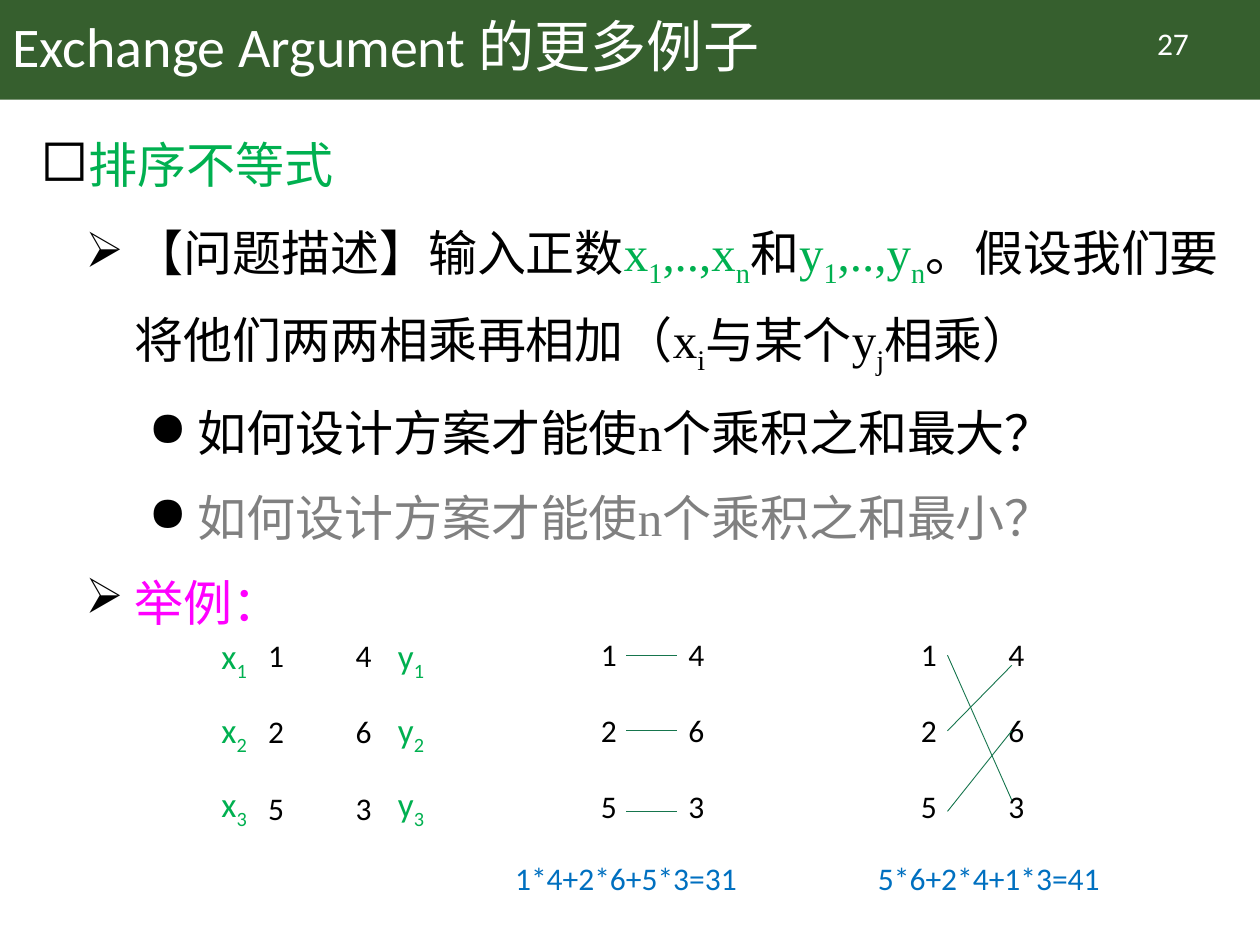
from lxml import etree
from pptx import Presentation
from pptx.dml.color import RGBColor
from pptx.enum.shapes import MSO_CONNECTOR, MSO_SHAPE
from pptx.enum.text import MSO_ANCHOR, PP_ALIGN
from pptx.oxml.ns import qn
from pptx.util import Inches, Pt

LINE = MSO_CONNECTOR.STRAIGHT
RECT = MSO_SHAPE.RECTANGLE
MIDDLE, TOP = MSO_ANCHOR.MIDDLE, MSO_ANCHOR.TOP
LEFT, CENTER = PP_ALIGN.LEFT, PP_ALIGN.CENTER
COLORS = {"bar": "365F2E", "white": "FFFFFF", "black": "000000", "green": "00B050",
          "gray": "808080", "pink": "FF00FF", "blue": "0070C0", "line": "16754D"}


def rgb(name):
    return RGBColor.from_string(COLORS[name])


def write(para, text, size=18, font="Calibri", color="black", align=LEFT):
    """Append text to a paragraph; the letter after each underscore is a subscript."""
    para.alignment = align
    head, *rest = text.split("_")
    parts = [(head, False)]
    for part in rest:
        parts += [(part[0], True), (part[1:], False)]
    for words, sub in parts:
        if not words:
            continue
        run = para.add_run()
        run.text = words
        run.font.size = Pt(size)
        run.font.name = font
        run.font.color.rgb = rgb(color)
        if sub:
            run.font._element.set("baseline", "-25000")


prs = Presentation()
prs.slide_width, prs.slide_height = Inches(10), Inches(7.5)
slide = prs.slides.add_slide(prs.slide_layouts[6])
shapes = slide.shapes

# Title bar
bar = shapes.add_shape(RECT, 0, 0, Inches(10), Inches(0.79))
bar.shadow.inherit = False
bar.fill.solid()
bar.fill.fore_color.rgb = rgb("bar")
bar.line.fill.background()

title = shapes.add_textbox(0, 0, Inches(8.62), Inches(0.79)).text_frame
title.word_wrap = True
title.vertical_anchor = MIDDLE
title.paragraphs[0].line_spacing = 0.9
write(title.paragraphs[0], "Exchange Argument 的更多例子", size=32, color="white")

# Outline: level, then runs of text and colour
outline = [
    (0, [("排序不等式", "green")]),
    (1, [("【问题描述】输入正数", "black"), ("x_1,..,x_n", "green"), ("和", "black"),
         ("y_1,..,y_n", "green"),
         ("。假设我们要将他们两两相乘再相加（x_i与某个y_j相乘）", "black")]),
    (2, [("如何设计方案才能使n个乘积之和最大？", "black")]),
    (2, [("如何设计方案才能使n个乘积之和最小？", "gray")]),
    (1, [("举例：", "pink")]),
]
body = shapes.add_textbox(Inches(0.22), Inches(0.88), Inches(9.57), Inches(6.47)).text_frame
body.word_wrap = True
body.vertical_anchor = TOP
for i, (level, runs) in enumerate(outline):
    para = body.add_paragraph() if i else body.paragraphs[0]
    para.level = level
    para.line_spacing = 1.3
    para.space_before = Pt(5 if i else 0)
    props = para._p.get_or_add_pPr()
    props.set("marL", str(Inches(0.25 + 0.5 * level)))
    props.set("indent", str(Inches(-0.39)))
    tint = etree.SubElement(props, qn("a:buClr"))
    etree.SubElement(tint, qn("a:srgbClr"), val=COLORS["black"])
    etree.SubElement(props, qn("a:buSzPct"), val="100000" if level else "120000")
    etree.SubElement(props, qn("a:buChar"), char="◻➢●"[level])
    for text, color in runs:
        write(para, text, size=28, font="Times New Roman", color=color)

# Three number groups: left and top of the grid, then the lines that pair the rows
lines = [
    [],
    [(4.97, 5.2, 5.37, 5.2), (4.97, 5.8, 5.37, 5.8), (4.97, 6.44, 5.37, 6.44)],
    [(7.52, 5.2, 8.03, 6.35), (7.52, 5.8, 8.03, 5.28), (7.52, 6.44, 8.03, 5.8)],
]
for (left, top), pairs in zip([(2.03, 5), (4.67, 4.99), (7.21, 4.99)], lines):
    group = shapes.add_group_shape().shapes
    cells = []
    for row, (x, y) in enumerate(["14", "26", "53"]):
        down = top + 0.605 * row
        cells += [(x, left, down, 18, "black"), (y, left + 0.695, down, 18, "black")]
        if not pairs:
            down = 4.99 + 0.585 * row
            cells += [(f"x_{row + 1}", 1.66, down, 20, "green"),
                      (f"y_{row + 1}", 3.06, down, 20, "green")]
    for text, x, y, size, color in cells:
        box = group.add_textbox(Inches(x), Inches(y), Inches(0.46), Inches(0.42))
        box.text_frame.word_wrap = True
        write(box.text_frame.paragraphs[0], text, size=size, color=color)
    for ends in pairs:
        link = group.add_connector(LINE, *[Inches(v) for v in ends])
        link.line.color.rgb = rgb("line")
        link.line.width = Pt(0.5)
        etree.SubElement(link._element.spPr, qn("a:effectLst"))

# Sums and page number
for text, x, y, width, color, align in [
        ("1*4+2*6+5*3=31", 3.99, 6.77, 2.53, "blue", LEFT),
        ("5*6+2*4+1*3=41", 6.87, 6.77, 2.53, "blue", LEFT),
        ("27", 8.71, 0.14, 1.2, "white", CENTER)]:
    box = shapes.add_textbox(Inches(x), Inches(y), Inches(width), Inches(0.4))
    box.text_frame.word_wrap = True
    write(box.text_frame.paragraphs[0], text, color=color, align=align)

prs.save("out.pptx")
